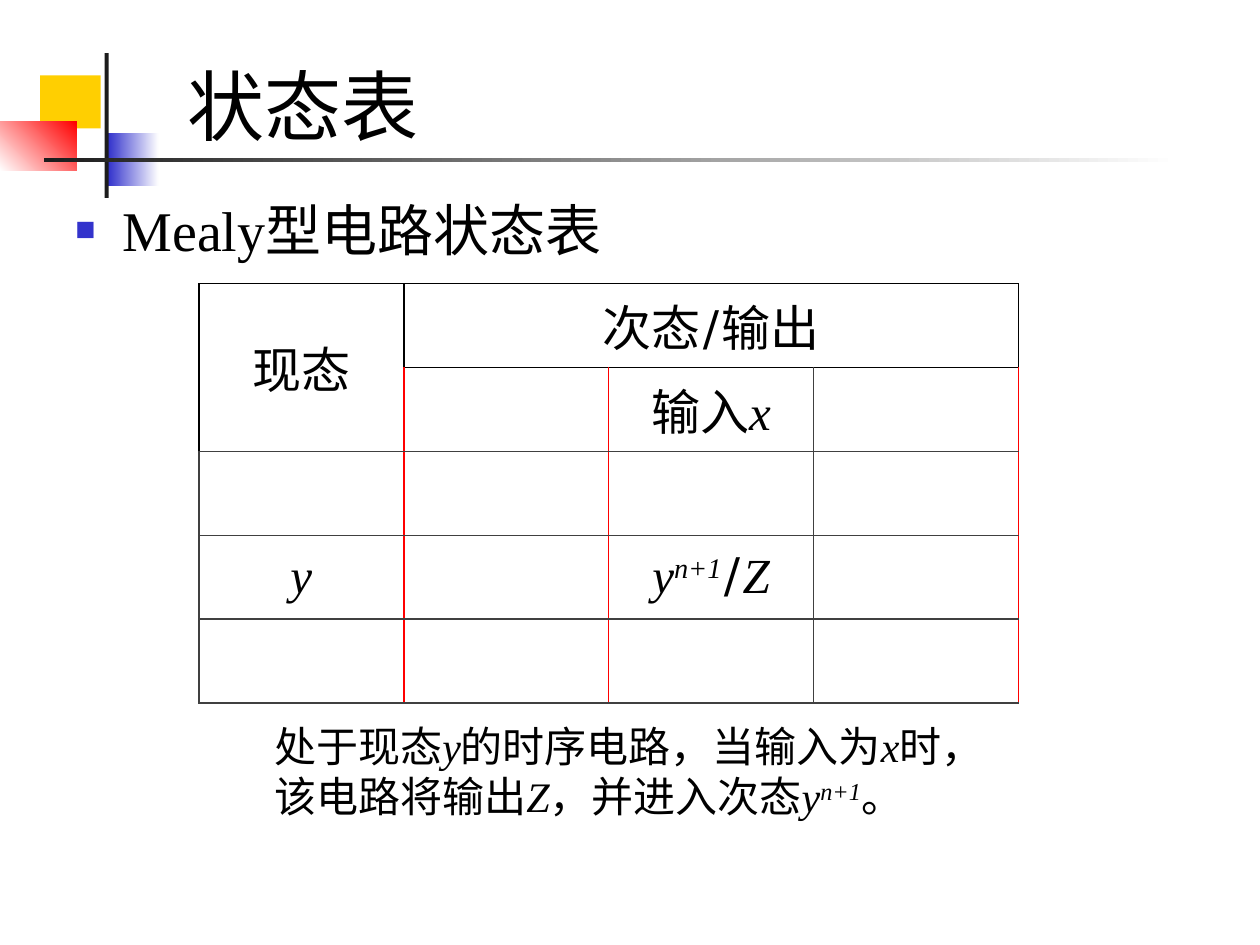
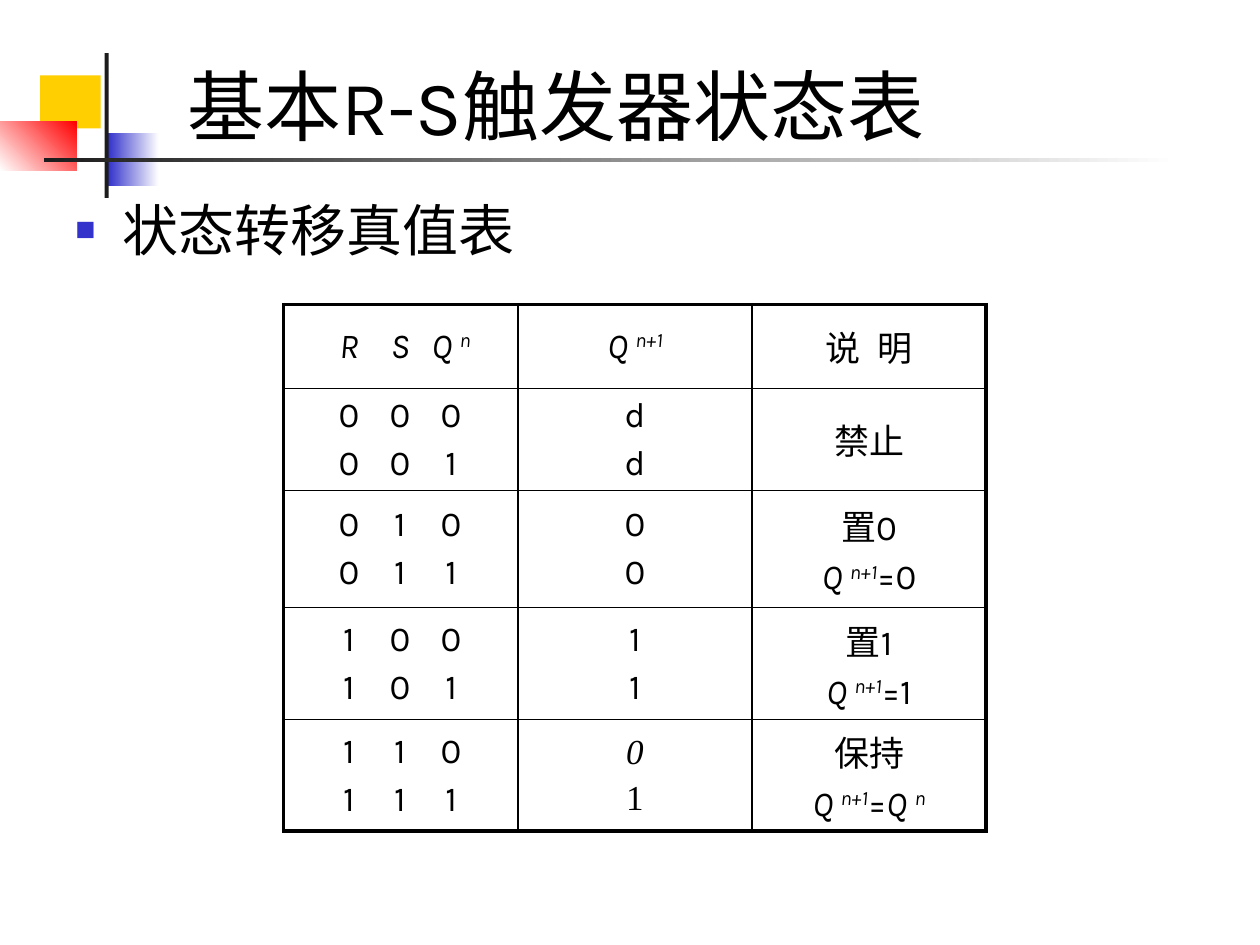
from typing import Callable, NamedTuple

from lxml import etree
from pptx import Presentation
from pptx.dml.color import RGBColor
from pptx.enum import shapes, text
from pptx.oxml import ns
from pptx.util import Cm, Pt

BLACK, INK, GREY, WHITE = "000000", "1C1C1C", "404040", "FFFFFF"
RED, BLUE, YELLOW = "FF0000", "3333CC", "FFCF01"
TIMES, KARLA, CJK = "Times New Roman", "Karla", "Noto Sans CJK SC"


class Box(NamedTuple):
    left: float
    top: float
    width: float
    height: float


class Band(NamedTuple):
    box: Box
    start: str
    end: str = ""
    angle: float = 0


class Run(NamedTuple):
    text: str
    font: str = TIMES
    italic: bool = False
    raised: bool = False
    spacing: int = 0


class Edge(NamedTuple):
    color: str
    width: float


Para = list[Run]
Cells = dict[tuple[int, int], list[Para]]
EdgeRule = Callable[[bool, int, int], Edge]

TITLE_BOX = Box(3.53, 1.47, 21.64, 1.7)
BODY_BOX = Box(1.27, 3.81, 23.29, 13.54)
BANDS = [
    Band(Box(0.81, 1.52, 1.22, 1.07), YELLOW),
    Band(Box(2.18, 2.69, 1.02, 1.07), BLUE, WHITE),
    Band(Box(0, 2.46, 1.55, 0.97), WHITE, RED, 45),
    Band(Box(2.11, 1.07, 0.08, 2.92), INK),
    Band(Box(0.89, 3.18, 22.86, 0.08), INK, WHITE),
]


def rgb(color: str) -> RGBColor:
    return RGBColor.from_string(color)


def place(box: Box) -> list[Cm]:
    return [Cm(v) for v in box]


def sub(parent, tag: str, **attrs: str):
    return etree.SubElement(parent, ns.qn(tag), **attrs)


def add_runs(p, runs: Para, size: float) -> None:
    for run in runs:
        r = p.add_run()
        r.text = run.text
        r.font.name, r.font.size = run.font, Pt(size)
        r.font.italic = run.italic
        r.font.color.rgb = rgb(BLACK)
        r_pr = r.font._element
        if run.raised:
            r_pr.set("baseline", "30000")
        if run.spacing:
            r_pr.set("spc", str(run.spacing))


def add_text(s, box: Box, runs: Para, size: float,
             anchor=text.MSO_ANCHOR.TOP):
    tf = s.shapes.add_textbox(*place(box)).text_frame
    tf.word_wrap = True
    tf.auto_size = text.MSO_AUTO_SIZE.NONE
    tf.vertical_anchor = anchor
    p = tf.paragraphs[0]
    add_runs(p, runs, size)
    return p


def set_bullet(p) -> None:
    p_pr = p._p.get_or_add_pPr()
    p_pr.set("marL", str(Cm(0.95)))
    p_pr.set("indent", str(-Cm(0.95)))
    sub(sub(p_pr, "a:buClr"), "a:srgbClr", val=BLUE)
    sub(p_pr, "a:buSzPct", val="60000")
    sub(p_pr, "a:buFont", typeface=TIMES)
    sub(p_pr, "a:buChar", char="■")


def set_bit_tabs(p) -> None:
    """Centre three evenly spaced values in a truth table cell."""
    tabs = sub(p._p.get_or_add_pPr(), "a:tabLst")
    for i in range(3):
        sub(tabs, "a:tab", pos=str(Cm(1.06 + 1.03 * i)), algn="ctr")


def add_band(s, band: Band) -> None:
    sp = s.shapes.add_shape(shapes.MSO_SHAPE.RECTANGLE, *place(band.box))
    sp.shadow.inherit = False
    sp.line.fill.background()
    if not band.end:
        sp.fill.solid()
        sp.fill.fore_color.rgb = rgb(band.start)
        return
    sp.fill.gradient()
    sp.fill.gradient_angle = band.angle
    for stop, color in zip(sp.fill.gradient_stops, (band.start, band.end)):
        stop.color.rgb = rgb(color)


def add_base(prs, title: Para, heading: Para):
    """Add a slide with the corner bands, its title and a bulleted heading."""
    s = prs.slides.add_slide(prs.slide_layouts[6])
    for band in BANDS:
        add_band(s, band)
    set_bullet(add_text(s, BODY_BOX, heading, 32))
    add_text(s, TITLE_BOX, title, 44, text.MSO_ANCHOR.BOTTOM)
    return s


def set_borders(cell, row: int, col: int, rule: EdgeRule) -> None:
    tc_pr = cell._tc.get_or_add_tcPr()
    edges = {
        "a:lnL": rule(True, col, row),
        "a:lnR": rule(True, col + cell.span_width, row),
        "a:lnT": rule(False, row, col),
        "a:lnB": rule(False, row + cell.span_height, col),
    }
    for tag, edge in edges.items():
        ln = sub(tc_pr, tag, w=str(Pt(edge.width)))
        sub(sub(ln, "a:solidFill"), "a:srgbClr", val=edge.color)


def fill_cell(cell, paras: list[Para], size: float) -> None:
    tf = cell.text_frame
    cell.vertical_anchor = text.MSO_ANCHOR.MIDDLE
    for i, runs in enumerate(paras):
        p = tf.add_paragraph() if i else tf.paragraphs[0]
        if i:
            p.space_before = Pt(size * 0.2)
        if runs[0].text.startswith("\t"):
            set_bit_tabs(p)
        else:
            p.alignment = text.PP_ALIGN.CENTER
        add_runs(p, runs, size)


def add_grid(s, left: float, top: float, widths: list[float],
             heights: list[float], cells: Cells, size: float, rule: EdgeRule,
             merges: tuple = ()) -> None:
    box = Box(left, top, sum(widths), sum(heights))
    tbl = s.shapes.add_table(len(heights), len(widths), *place(box)).table
    tbl.first_row = tbl.horz_banding = False
    for column, width in zip(tbl.columns, widths):
        column.width = Cm(width)
    for row, height in zip(tbl.rows, heights):
        row.height = Cm(height)
    for first, last in merges:
        tbl.cell(*first).merge(tbl.cell(*last))
    for r in range(len(heights)):
        for c in range(len(widths)):
            cell = tbl.cell(r, c)
            set_borders(cell, r, c, rule)
            cell.fill.background()
            fill_cell(cell, cells.get((r, c), []), size)


def mealy_edge(vertical: bool, line: int, lane: int) -> Edge:
    if vertical and lane >= 1 and line in (1, 2, 4):
        return Edge(RED, 1)
    header = lane == 0 or (line == 0 and lane == 1) if vertical else line <= 1
    return Edge(BLACK if header else GREY, 1)


def truth_edge(vertical: bool, line: int, lane: int) -> Edge:
    outer = line in (0, 3 if vertical else 5)
    return Edge(BLACK, 2.25 if outer else 1)


def var(name: str, font: str = TIMES) -> Run:
    return Run(name, font, italic=True)


def power(name: str, font: str = TIMES) -> Run:
    return Run(name, font, italic=True, raised=True)


def plain(words: str) -> Para:
    return [Run(words, KARLA)]


def next_q(*result: Run) -> Para:
    return [var("Q ", KARLA), power("n+1", KARLA), Run("=", KARLA), *result]


def mealy_slide(prs) -> None:
    s = add_base(prs, [Run("状态表", CJK)],
                 [Run("Mealy型电路"), Run("状态表", CJK)])
    cells: Cells = {
        (0, 0): [plain("现态")],
        (0, 1): [plain("次态/输出")],
        (1, 2): [[Run("输入", KARLA), var("x")]],
        (3, 0): [[var("y")]],
        (3, 2): [[var("y"), power("n+1"), Run("/", KARLA), var("Z")]],
    }
    add_grid(s, 4.01, 5.72, [4.13] * 4, [1.69] * 5, cells, 28, mealy_edge,
             merges=(((0, 0), (1, 0)), ((0, 1), (0, 3))))
    add_text(s, Box(5.28, 14.4, 14.6, 2.29), [
        Run("处于现态"), var("y"), Run("的时序电路，当输入为"), var("x"),
        Run("时，该电路将输出"), var("Z"), Run("，并进入次态"),
        var("y"), power("n+1"), Run("。")], 24)


def truth_slide(prs) -> None:
    s = add_base(prs, plain("基本R-S触发器状态表"), [Run("状态转移真值表")])
    cells: Cells = {
        (0, 0): [[var("\tR\tS\tQ ", KARLA), power("n", KARLA)]],
        (0, 1): [[var("Q ", KARLA), power("n+1", KARLA)]],
        (0, 2): [[Run("说", KARLA), Run(" ", KARLA, spacing=500),
                  Run("明", KARLA)]],
    }
    outcomes = [
        ([plain("d")] * 2, [plain("禁止")]),
        ([plain("0")] * 2, [plain("置0"), next_q(Run("0", KARLA))]),
        ([plain("1")] * 2, [plain("置1"), next_q(Run("1", KARLA))]),
        ([[var("0")], [Run("1")]],
         [plain("保持"), next_q(var("Q ", KARLA), power("n", KARLA))]),
    ]
    for i, (states, note) in enumerate(outcomes):
        cells[i + 1, 0] = [plain("".join(f"\t{bit}" for bit in f"{n:03b}"))
                           for n in (2 * i, 2 * i + 1)]
        cells[i + 1, 1] = states
        cells[i + 1, 2] = note
    add_grid(s, 5.72, 6.14, [4.72] * 3, [1.69, 2.06, 2.36, 2.26, 2.24],
             cells, 20, truth_edge)


def main() -> None:
    prs = Presentation()
    prs.slide_width, prs.slide_height = Cm(25.4), Cm(19.05)
    mealy_slide(prs)
    truth_slide(prs)
    prs.save("out.pptx")


if __name__ == "__main__":
    main()
